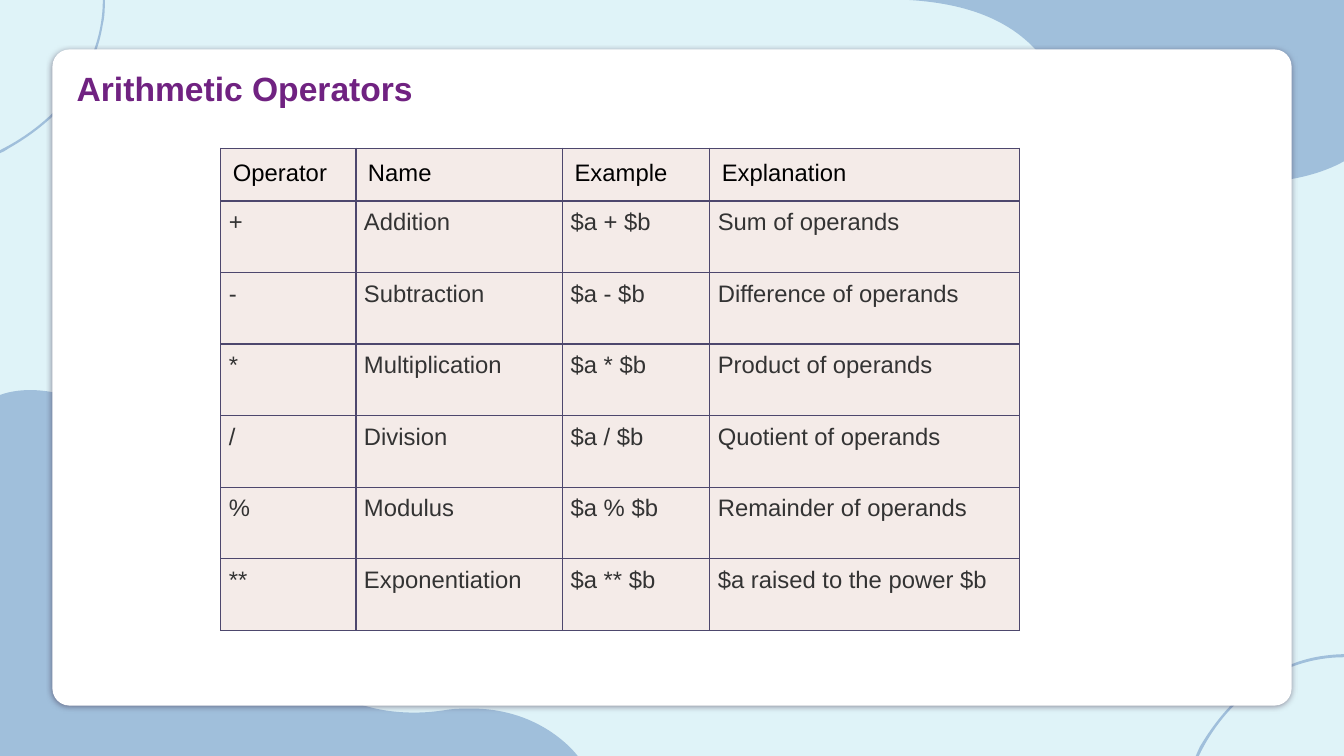
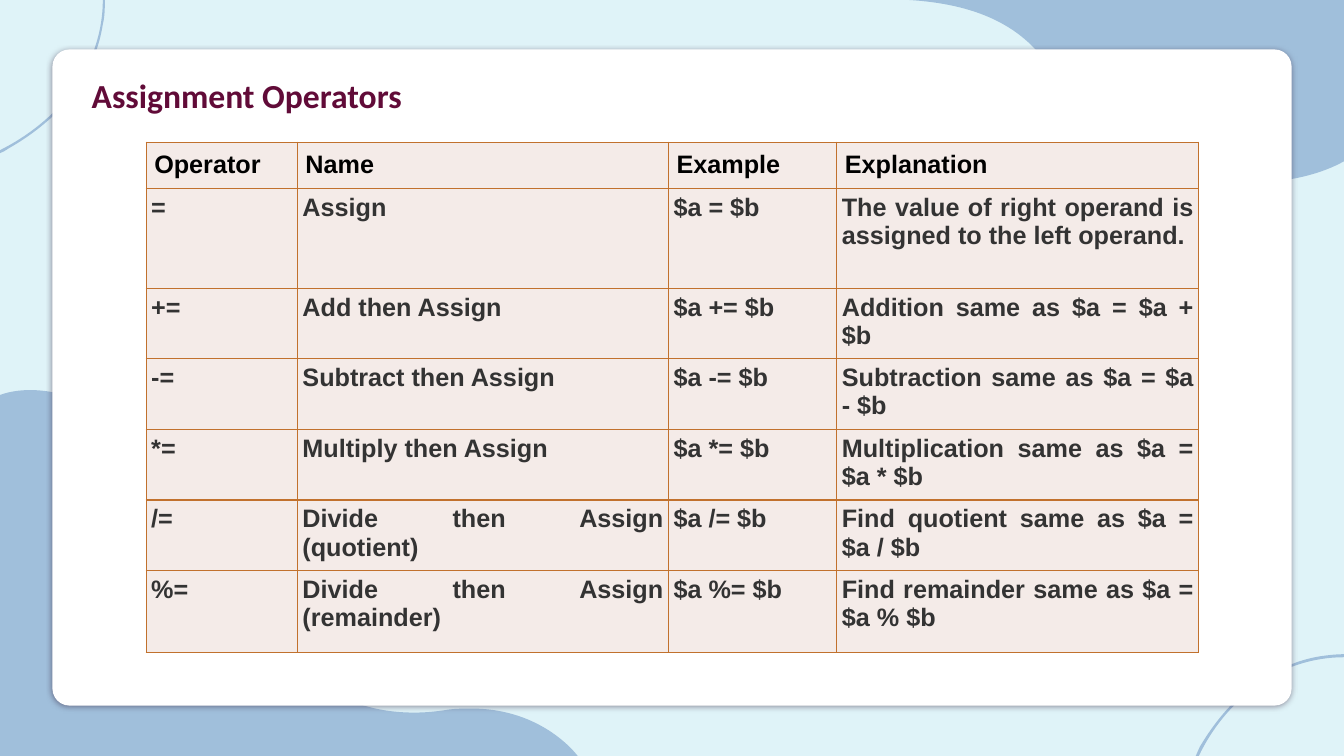
from pptx import Presentation
from pptx.dml.color import RGBColor
from pptx.enum.shapes import MSO_SHAPE, PP_PLACEHOLDER
from pptx.enum.text import MSO_ANCHOR, MSO_AUTO_SIZE, PP_ALIGN
from pptx.oxml import parse_xml
from pptx.oxml.ns import nsdecls
from pptx.util import Inches, Pt

LEFT, JUSTIFY = PP_ALIGN.LEFT, PP_ALIGN.JUSTIFY
TOP, GROW = MSO_ANCHOR.TOP, MSO_AUTO_SIZE.SHAPE_TO_FIT_TEXT
ROUNDED = MSO_SHAPE.ROUNDED_RECTANGLE
FOOTER_KINDS = (PP_PLACEHOLDER.DATE, PP_PLACEHOLDER.FOOTER, PP_PLACEHOLDER.SLIDE_NUMBER)

WIDTH, HEIGHT = 13.33, 7.5
TITLE_ONLY = 5
COLORS = {
    "background": "DFF3F8", "wave": "A0BFDB", "panel": "FFFFFF", "shadow": "210A26",
    "cell": "F4EBE8", "header": "000000", "body": "333333",
    "purple": "702281", "maroon": "610B38", "slate": "4D476D", "copper": "C1712D",
}

# Each outline: a start point, then lines (x, y) and cubic curves (three points)
WAVES = [
    [(0.3, 3.87), (0.11, 3.87, 0, 3.92, 0, 3.92), (0, HEIGHT), (5.73, HEIGHT),
     (5.73, 7.5, 5.39, 7.03, 4.68, 7.03), (4.6, 7.03, 4.53, 7.03, 4.45, 7.04),
     (4.33, 7.06, 4.22, 7.07, 4.11, 7.07), (3.37, 7.07, 2.7, 6.68, 1.94, 5.21),
     (1.36, 4.06, 0.68, 3.87, 0.3, 3.87)],
    [(9.02, 0), (9.66, 0.04, 10.13, 0.24, 10.41, 0.67),
     (10.97, 1.54, 11.77, 1.81, 12.42, 1.81), (12.79, 1.81, 13.12, 1.72, WIDTH, 1.6),
     (WIDTH, 0)],
    [(1.02, 0), (1.02, 0.32, 0.91, 0.64, 0.72, 0.9), (0.53, 1.15, 0.28, 1.35, 0, 1.49),
     (0, 1.52), (0.03, 1.51, 0.06, 1.49, 0.09, 1.47), (0.32, 1.34, 0.53, 1.17, 0.7, 0.97),
     (0.86, 0.76, 0.98, 0.51, 1.02, 0.24), (1.04, 0.16, 1.04, 0.08, 1.04, 0)],
    [(WIDTH, 6.49), (13.25, 6.49, 13.17, 6.5, 13.1, 6.51),
     (12.84, 6.55, 12.6, 6.67, 12.39, 6.83), (12.19, 6.99, 12.03, 7.19, 11.9, 7.41),
     (11.89, 7.44, 11.87, 7.47, 11.86, HEIGHT), (11.89, HEIGHT),
     (12.02, 7.23, 12.21, 6.99, 12.46, 6.81), (12.71, 6.62, 13.02, 6.52, WIDTH, 6.52),
     (WIDTH, 6.49)],
]
PANEL = (0.52, 0.49, 12.29, 6.51)
HEADER = ("Operator", "Name", "Example", "Explanation")

SLIDES = [
    {
        "title": "Arithmetic Operators", "title_box": (0.66, 0.62, 6.67, 0.5),
        "title_font": "Arial", "title_color": "purple", "title_align": LEFT,
        "table_box": (2.19, 1.47, 7.92, 4.78), "columns": (1.34, 2.05, 1.46, 3.07),
        "row_heights": [0.51] + [0.71] * 6,
        "border": "slate", "size": 17, "bold": False, "insets": (0.12, 0.08),
        "rows": [
            ("+", "Addition", "$a + $b", "Sum of operands"),
            ("-", "Subtraction", "$a - $b", "Difference of operands"),
            ("*", "Multiplication", "$a * $b", "Product of operands"),
            ("/", "Division", "$a / $b", "Quotient of operands"),
            ("%", "Modulus", "$a % $b", "Remainder of operands"),
            ("**", "Exponentiation", "$a ** $b", "$a raised to the power $b"),
        ],
    },
    {
        "title": "Assignment Operators", "title_box": (0.81, 0.69, 6.67, 0.5),
        "title_font": "Calibri", "title_color": "maroon", "title_align": JUSTIFY,
        "table_box": (1.45, 1.41, 10.44, 5.06), "columns": (1.5, 3.68, 1.67, 3.59),
        "row_heights": [0.32, 0.99] + [0.63] * 4 + [0.81],
        "border": "copper", "size": 18, "bold": True, "insets": (0.08, 0.05),
        "rows": [
            ("=", "Assign", "$a = $b",
             "The value of right operand is assigned to the left operand."),
            ("+=", "Add then Assign", "$a += $b", "Addition same as $a = $a + $b"),
            ("-=", "Subtract then Assign", "$a -= $b", "Subtraction same as $a = $a - $b"),
            ("*=", "Multiply then Assign", "$a *= $b",
             "Multiplication same as $a = $a * $b"),
            ("/=", "Divide then Assign\n(quotient)", "$a /= $b",
             "Find quotient same as $a = $a / $b"),
            ("%=", "Divide then Assign\n(remainder)", "$a %= $b",
             "Find remainder same as $a = $a % $b"),
        ],
    },
]


def rgb(name):
    return RGBColor.from_string(COLORS[name])


def inches(values):
    return [Inches(value) for value in values]


def set_all(target, formats):
    for name, value in formats.items():
        setattr(target, name, value)


def write(paragraph, text, align, font, size, bold, color):
    paragraph.text = text
    paragraph.alignment = align
    for run in paragraph.runs:
        set_all(run.font, {"name": font, "size": Pt(size), "bold": bold})
        run.font.color.rgb = rgb(color)


def paint(shape, color):
    shape.shadow.inherit = False
    shape.fill.solid()
    shape.fill.fore_color.rgb = rgb(color)
    shape.line.fill.background()


def add_wave(slide, outline):
    """Draw the outline through all its points, then bend each triple into a curve."""
    start, *segments = outline
    points = [inches(segment[i:i + 2]) for segment in segments
              for i in range(0, len(segment), 2)]
    builder = slide.shapes.build_freeform(*inches(start))
    builder.add_line_segments(points, close=True)
    wave = builder.convert_to_shape()
    lines = iter(list(wave.element.spPr.iter("{*}lnTo")))
    for segment in segments:
        parts = [next(lines) for _ in range(len(segment) // 2)]
        if len(parts) == 3:
            curve = parse_xml(f'<a:cubicBezTo {nsdecls("a")}/>')
            parts[0].addprevious(curve)
            for part in parts:
                curve.append(part[0])
                part.getparent().remove(part)
    paint(wave, "wave")
    return wave


def add_panel(slide):
    panel = slide.shapes.add_shape(ROUNDED, *inches(PANEL))
    panel.adjustments[0] = 0.026
    paint(panel, "panel")
    panel.element.spPr.find("{*}effectLst").append(parse_xml(
        f'<a:outerShdw {nsdecls("a")} blurRad="{Pt(4.5)}" dist="{Pt(1.5)}" dir="5400000" '
        f'algn="ctr" rotWithShape="0"><a:srgbClr val="{COLORS["shadow"]}">'
        '<a:alpha val="50000"/></a:srgbClr></a:outerShdw>'))
    return panel


def decorate(master, slide):
    """Give the master its background, waves and panel; they are drawn through slide."""
    master.background.fill.solid()
    master.background.fill.fore_color.rgb = rgb("background")
    decorations = [add_wave(slide, outline) for outline in WAVES] + [add_panel(slide)]
    for position, shape in enumerate(decorations, start=2):
        master.shapes.element.insert(position, shape.element)


def strip_template(deck, layout):
    """Keep one layout, without date, footer and number."""
    for other in list(deck.slide_layouts):
        if other.name != layout.name:
            deck.slide_layouts.remove(other)
    for base in (layout, deck.slide_master):
        for holder in list(base.placeholders):
            if holder.placeholder_format.type in FOOTER_KINDS:
                holder.element.getparent().remove(holder.element)


def add_title(slide, content):
    title = slide.shapes.title
    set_all(title, dict(zip(("left", "top", "width", "height"),
                            inches(content["title_box"]))))
    set_all(title.text_frame, {"word_wrap": True, "auto_size": GROW,
                               "vertical_anchor": TOP})
    write(title.text_frame.paragraphs[0], content["title"], content["title_align"],
          content["title_font"], 24, True, content["title_color"])


def format_cell(cell, inset, border):
    for side in ("left", "right", "top", "bottom"):
        setattr(cell, f"margin_{side}", Inches(inset))
    cell.vertical_anchor = TOP
    cell.fill.solid()
    cell.fill.fore_color.rgb = rgb("cell")
    properties = cell._tc.get_or_add_tcPr()
    for position, side in enumerate("LRTB"):
        properties.insert(position, parse_xml(
            f'<a:ln{side} {nsdecls("a")} w="{Pt(1)}"><a:solidFill>'
            f'<a:srgbClr val="{COLORS[border]}"/></a:solidFill></a:ln{side}>'))


def add_operators(slide, content):
    rows = [HEADER] + content["rows"]
    columns, box = content["columns"], inches(content["table_box"])
    frame = slide.shapes.add_table(len(rows), len(columns), *box)
    table = frame.table
    set_all(table, {"first_row": False, "horz_banding": False})
    for column, width in zip(table.columns, columns):
        column.width = Inches(width)
    header_inset, body_inset = content["insets"]
    for r, (texts, height) in enumerate(zip(rows, content["row_heights"])):
        table.rows[r].height = Inches(height)
        inset, align, color = ((body_inset, JUSTIFY, "body") if r
                               else (header_inset, LEFT, "header"))
        for c, text in enumerate(texts):
            cell = table.cell(r, c)
            format_cell(cell, inset, content["border"])
            write(cell.text_frame.paragraphs[0], text, align, "Arial",
                  content["size"], content["bold"], color)
    set_all(frame, {"width": box[2], "height": box[3]})


def main():
    deck = Presentation()
    deck.slide_width, deck.slide_height = inches((WIDTH, HEIGHT))
    layout = deck.slide_layouts[TITLE_ONLY]
    strip_template(deck, layout)
    for number, content in enumerate(SLIDES):
        slide = deck.slides.add_slide(layout)
        if number == 0:
            decorate(deck.slide_master, slide)
        add_title(slide, content)
        add_operators(slide, content)
    deck.save("out.pptx")


if __name__ == "__main__":
    main()
